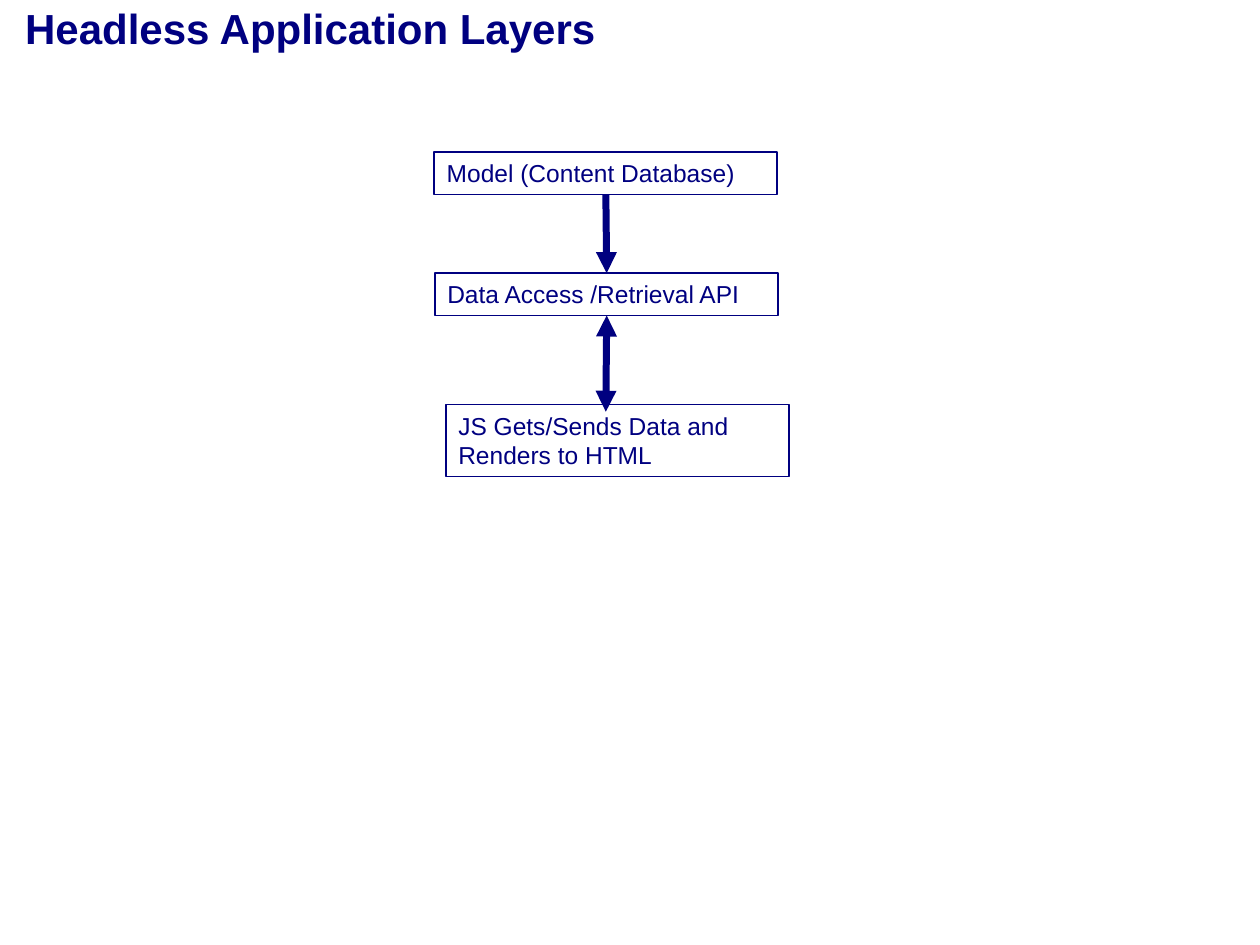
import pptx
import pptx.dml.color
import pptx.enum.shapes
import pptx.enum.text
import pptx.oxml
import pptx.oxml.ns
import pptx.util

Pt = pptx.util.Pt
NAVY = "000080"
LAYER_WIDTH = 196
LAYERS = [
    ("Model (Content Database)", 0, 0, 24.2),
    ("Data Access /Retrieval API", 0.3, 69.1, 24.2),
    ("JS Gets/Sends Data and Renders to HTML", 6.6, 144.2, 41.2),
]
ARROWS = [
    ((98, 24.2), (98.5, 69.1), ("tailEnd",)),
    ((98.5, 93.3), (98, 148.3), ("headEnd", "tailEnd")),
]


def color(hex_string):
    """Return the colour for a hex string."""
    return pptx.dml.color.RGBColor.from_string(hex_string)


def apply(target, values):
    """Set each attribute in values on the target."""
    for name, value in values.items():
        setattr(target, name, value)


def write(shape, text, font, frame):
    """Put one styled left-aligned paragraph into the shape."""
    apply(shape.text_frame, {"word_wrap": True, **frame})
    para = shape.text_frame.paragraphs[0]
    para.alignment = pptx.enum.text.PP_ALIGN.LEFT
    span = para.add_run()
    span.text = text
    apply(span.font, {"name": "Arial", **font})
    span.font.color.rgb = color(NAVY)


def add_title(page, left, top, width, height):
    """Place the slide title in the given box."""
    box = page.shapes.add_textbox(Pt(left), Pt(top), Pt(width), Pt(height))
    write(box, "Headless Application Layers", {"size": Pt(24), "bold": True}, {
        "vertical_anchor": pptx.enum.text.MSO_ANCHOR.MIDDLE,
        "margin_left": Pt(14.4),
        "margin_right": Pt(7.2),
        "margin_top": 0,
        "margin_bottom": 0,
    })


def add_layer(page, text, left, top, width, height):
    """Place one outlined application layer in the given box."""
    box = page.shapes.add_shape(
        pptx.enum.shapes.MSO_SHAPE.RECTANGLE, Pt(left), Pt(top), Pt(width), Pt(height))
    box.shadow.inherit = False
    box.fill.background()
    box.line.color.rgb = color(NAVY)
    box.line.width = Pt(1)
    write(box, text, {"size": Pt(14)}, {
        "vertical_anchor": pptx.enum.text.MSO_ANCHOR.TOP,
        "auto_size": pptx.enum.text.MSO_AUTO_SIZE.SHAPE_TO_FIT_TEXT,
    })


def add_arrow(page, start, end, heads):
    """Draw a thick line with triangles at the named ends."""
    arrow = page.shapes.add_connector(
        pptx.enum.shapes.MSO_CONNECTOR.STRAIGHT, *(Pt(value) for value in (*start, *end)))
    arrow.line.color.rgb = color(NAVY)
    arrow.line.width = Pt(4)
    outline = arrow.line._get_or_add_ln()
    for head in heads:
        pptx.oxml.ns.qn("a:" + head)
        outline.append(pptx.oxml.parse_xml(
            f'<a:{head} {pptx.oxml.ns.nsdecls("a")} type="triangle"/>'))
    arrow._element.spPr.append(pptx.oxml.parse_xml(
        f'<a:effectLst {pptx.oxml.ns.nsdecls("a")}/>'))


def add_diagram(page, left, top):
    """Place the stacked layers and their arrows from the given corner."""
    for text, across, down, height in LAYERS:
        add_layer(page, text, left + across, top + down, LAYER_WIDTH, height)
    for start, end, heads in ARROWS:
        add_arrow(page, *((left + x, top + y) for x, y in (start, end)), heads)


deck = pptx.Presentation()
apply(deck, {"slide_width": Pt(720), "slide_height": Pt(540)})
page = deck.slides.add_slide(deck.slide_layouts[6])
add_title(page, 0, 0, 720, 32)
add_diagram(page, 248.2, 87)
deck.save("out.pptx")
